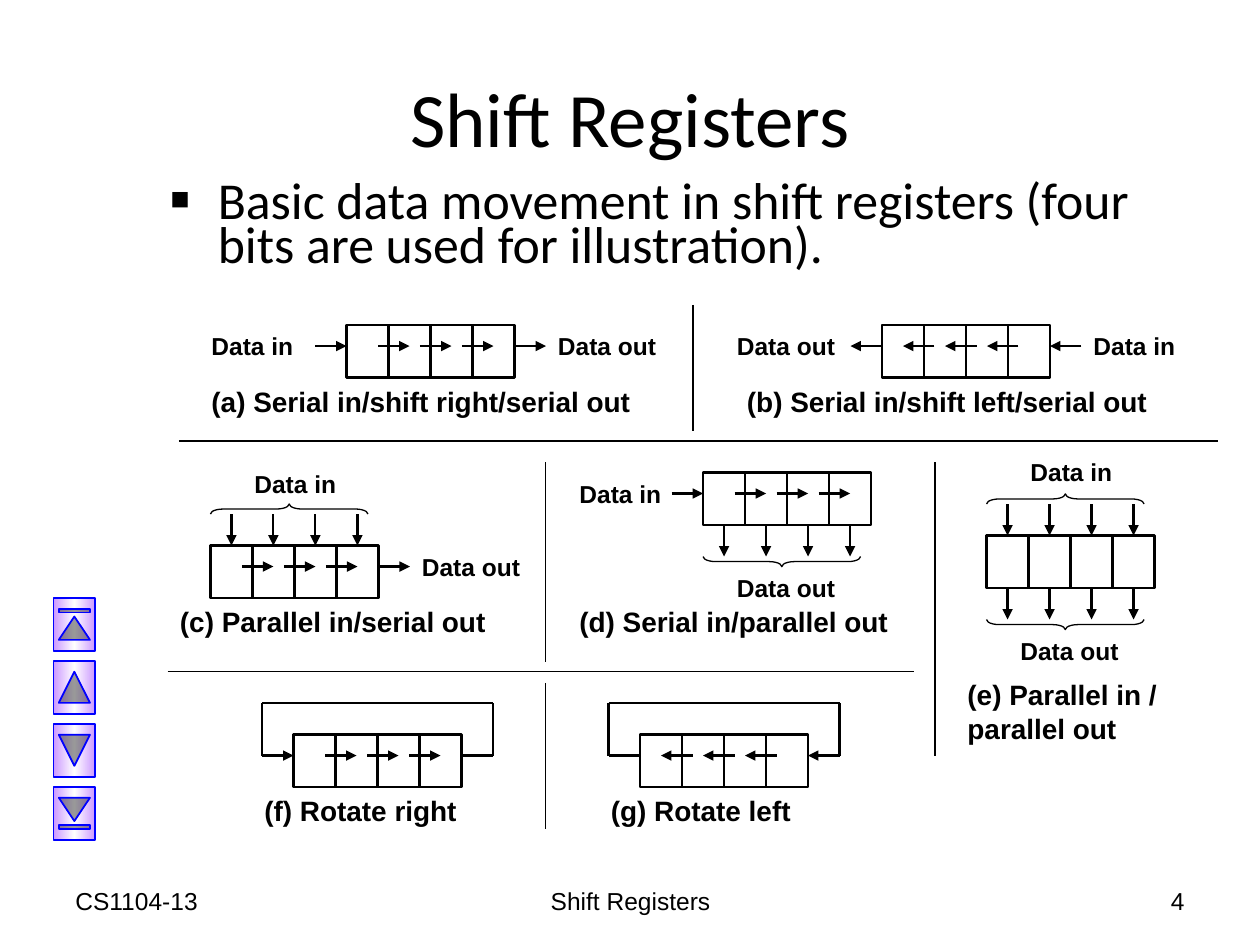
from copy import deepcopy
from dataclasses import dataclass
from typing import Any

from lxml.etree import SubElement
from pptx import Presentation
from pptx.dml.color import RGBColor
from pptx.enum.shapes import MSO_CONNECTOR as Connector, MSO_SHAPE as Shape
from pptx.enum.text import MSO_ANCHOR as Anchor, PP_ALIGN as Align
from pptx.oxml.ns import qn
from pptx.util import Inches, Pt

COLORS = {"ink": "000000", "button_edge": "0000FF", "lilac": "CC99FF", "white": "FFFFFF"}
CELLS = 4
CELL = 1 / 3
WIDTH = CELLS * CELL
HEIGHT = 5 / 12
ARROW = 0.25
FLOW = 1 / 6
BRACE_WIDTH, BRACE_LENGTH = 0.08, 1.25
CELL_LINE, ARROW_LINE, THIN_LINE = 1.5, 1.25, 0.75


@dataclass
class Label:
    text: str
    left: float
    top: float
    width: float
    height: float = 0.33
    size: float = 14
    bold: bool = True
    font: str = "Arial"
    align: Align = Align.LEFT
    anchor: Anchor = Anchor.TOP


@dataclass
class Register:
    left: float
    top: float
    labels: list[Label]
    direction: int = 0
    serial_in: bool = False
    serial_out: bool = False
    parallel_in: bool = False
    parallel_out: bool = False
    rotates: bool = False


@dataclass
class Button:
    preset: Shape
    top: float


def caption(text: str, left: float, top: float, width: float, height: float = 0.37) -> Label:
    return Label(text, left, top, width, height, size=16)


def color(name: str) -> RGBColor:
    return RGBColor.from_string(COLORS[name])


def set_values(target: Any, values: dict[str, Any]) -> None:
    for name, value in values.items():
        setattr(target, name, value)


def set_line(shape: Any, width: float, name: str = "ink") -> None:
    shape.line.color.rgb = color(name)
    shape.line.width = Pt(width)


def add_label(shapes: Any, label: Label) -> Any:
    box = shapes.add_textbox(*map(Inches, (label.left, label.top, label.width, label.height)))
    set_values(box.text_frame, {"word_wrap": True, "vertical_anchor": label.anchor})
    paragraph = box.text_frame.paragraphs[0]
    paragraph.alignment = label.align
    run = paragraph.add_run()
    run.text = label.text
    set_values(run.font, {"name": label.font, "size": Pt(label.size), "bold": label.bold})
    run.font.color.rgb = color("ink")
    return paragraph


def add_line(shapes: Any, start: tuple[float, float], end: tuple[float, float],
             width: float, arrow: bool = False) -> None:
    line = shapes.add_connector(Connector.STRAIGHT, *map(Inches, (*start, *end)))
    set_line(line, width)
    if arrow:
        SubElement(line.line._get_or_add_ln(), qn("a:tailEnd"), type="triangle")
    SubElement(line._element.spPr, qn("a:effectLst"))


def add_brace(shapes: Any, center_x: float, center_y: float, rotation: int) -> None:
    brace = shapes.add_shape(Shape.LEFT_BRACE, *map(Inches, (
        center_x - BRACE_WIDTH / 2, center_y - BRACE_LENGTH / 2, BRACE_WIDTH, BRACE_LENGTH)))
    brace.rotation = rotation
    brace.adjustments[0] = 1.25
    brace.shadow.inherit = False
    brace.fill.background()
    set_line(brace, THIN_LINE)


def add_cells(shapes: Any, register: Register) -> None:
    left, top = register.left, register.top
    frame = shapes.add_shape(Shape.RECTANGLE, *map(Inches, (left, top, WIDTH, HEIGHT)))
    frame.shadow.inherit = False
    frame.fill.background()
    set_line(frame, CELL_LINE)
    for index in range(1, CELLS):
        x = left + index * CELL
        add_line(shapes, (x, top), (x, top + HEIGHT), CELL_LINE)


def add_serial_flow(shapes: Any, register: Register) -> None:
    left, direction = register.left, register.direction
    right, y = left + WIDTH, register.top + FLOW
    for index in range(1, CELLS):
        start = left + index * CELL + direction * (-1 / 12)
        if direction < 0:
            start = left + index * CELL + 1 / 12
        add_line(shapes, (start, y), (start + direction * ARROW, y), ARROW_LINE, True)
    entry, leave = (left, right) if direction > 0 else (right, left)
    if register.serial_in:
        add_line(shapes, (entry - direction * ARROW, y), (entry, y), ARROW_LINE, True)
    if register.serial_out:
        add_line(shapes, (leave, y), (leave + direction * ARROW, y), ARROW_LINE,
                 not register.rotates)
    if register.rotates:
        near, far, roof = left - ARROW, right + ARROW, register.top - ARROW
        add_line(shapes, (near, roof), (far, roof), ARROW_LINE)
        for x in (near, far):
            add_line(shapes, (x, roof), (x, y), ARROW_LINE)


def add_parallel_flow(shapes: Any, register: Register, start: float,
                      brace_y: float, rotation: int) -> None:
    for index in range(CELLS):
        x = register.left + (index + 0.5) * CELL
        add_line(shapes, (x, start), (x, start + ARROW), ARROW_LINE, True)
    add_brace(shapes, register.left + BRACE_LENGTH / 2, brace_y, rotation)


def add_register(slide: Any, register: Register) -> None:
    shapes = slide.shapes.add_group_shape().shapes
    add_cells(shapes, register)
    if register.direction:
        add_serial_flow(shapes, register)
    if register.parallel_in:
        add_parallel_flow(shapes, register, register.top - ARROW, register.top - 0.29, 90)
    if register.parallel_out:
        bottom = register.top + HEIGHT
        add_parallel_flow(shapes, register, bottom, bottom + 0.29, 270)
    for label in register.labels:
        add_label(shapes, label)


def add_button(slide: Any, button: Button) -> None:
    shape = slide.shapes.add_shape(
        button.preset, *map(Inches, (0.38, button.top, 0.42, 0.33)))
    shape.rotation = 90
    shape.shadow.inherit = False
    shape.fill.gradient()
    shape.fill.gradient_angle = 90
    first_stop = shape.fill.gradient_stops[0]._gs
    first_stop.addnext(deepcopy(first_stop))
    for stop, position, name in zip(shape.fill.gradient_stops, (0, 0.5, 1),
                                    ("lilac", "white", "lilac")):
        stop.position = position
        stop.color.rgb = color(name)
    set_line(shape, 1, "button_edge")


def add_bullet(paragraph: Any) -> None:
    properties = paragraph._p.get_or_add_pPr()
    set_values(paragraph, {"line_spacing": 0.7})
    properties.set("marL", str(Inches(0.38)))
    properties.set("indent", str(-Inches(0.38)))
    SubElement(properties, qn("a:buSzPct"), val="120000")
    SubElement(properties, qn("a:buFont"), typeface="Arial")
    SubElement(properties, qn("a:buChar"), char="▪")


TITLE = Label("Shift Registers", 0.5, 0.3, 9, 1.25, 44, False, "Calibri", Align.CENTER, Anchor.MIDDLE)
BODY = Label("Basic data movement in shift registers (four bits are used for illustration).",
             1.25, 1.42, 8.42, 0.83, 29.6, False, "Calibri")
FOOTERS = [Label(text, left, 6.95, width, 0.4, bold=False, align=align, anchor=Anchor.MIDDLE)
           for text, left, width, align in (("CS1104-13", 0.5, 2.33, Align.LEFT),
                                            ("Shift Registers", 3.42, 3.17, Align.CENTER),
                                            ("4", 7.17, 2.33, Align.RIGHT))]
REGISTERS = [
    Register(2.75, 2.58, [Label("Data in", 1.58, 2.58, 0.92), Label("Data out", 4.33, 2.58, 1),
                          caption("(a) Serial in/shift right/serial out", 1.58, 3, 3.58)],
             1, serial_in=True, serial_out=True),
    Register(7, 2.58, [Label("Data in", 8.58, 2.58, 0.92), Label("Data out", 5.75, 2.58, 1),
                       caption("(b) Serial in/shift left/serial out", 5.83, 3, 3.58)],
             -1, serial_in=True, serial_out=True),
    Register(1.67, 4.33, [Label("Data in", 1.92, 3.67, 0.92), Label("Data out", 3.25, 4.33, 1),
                          caption("(c) Parallel in/serial out", 1.33, 4.75, 2.75)],
             1, serial_out=True, parallel_in=True),
    Register(5.58, 3.75, [Label("Data out", 5.75, 4.5, 1), Label("Data in", 4.5, 3.75, 0.92),
                          caption("(d) Serial in/parallel out", 4.5, 4.75, 2.75)],
             1, serial_in=True, parallel_out=True),
    Register(7.83, 4.25, [Label("Data out", 8, 5, 1), Label("Data in", 8.08, 3.58, 0.92),
                          caption("(e) Parallel in / parallel out", 7.58, 5.33, 1.75, 0.64)],
             parallel_in=True, parallel_out=True),
    Register(2.33, 5.83, [caption("(f) Rotate right", 2, 6.25, 1.92)], 1, True, True, rotates=True),
    Register(5.08, 5.83, [caption("(g) Rotate left", 4.75, 6.25, 1.92)], -1, True, True, rotates=True),
]
SEPARATORS = [((1.42, 3.5), (9.67, 3.5)), ((1.33, 5.33), (7.25, 5.33)), ((5.5, 2.42), (5.5, 3.42)),
              ((4.33, 3.67), (4.33, 5.25)), ((7.42, 3.67), (7.42, 6)), ((4.33, 5.42), (4.33, 6.58))]
BUTTONS = [Button(preset, 4.79 + index * 0.5) for index, preset in enumerate((
    Shape.ACTION_BUTTON_BEGINNING, Shape.ACTION_BUTTON_BACK_OR_PREVIOUS,
    Shape.ACTION_BUTTON_FORWARD_OR_NEXT, Shape.ACTION_BUTTON_END))]


def main() -> None:
    presentation = Presentation()
    set_values(presentation, {"slide_width": Inches(10), "slide_height": Inches(7.5)})
    slide = presentation.slides.add_slide(presentation.slide_layouts[6])
    for label in (*FOOTERS, TITLE):
        add_label(slide.shapes, label)
    add_bullet(add_label(slide.shapes, BODY))
    for register in REGISTERS:
        add_register(slide, register)
    for start, end in SEPARATORS:
        add_line(slide.shapes, start, end, THIN_LINE)
    for button in BUTTONS:
        add_button(slide, button)
    presentation.save("out.pptx")


if __name__ == "__main__":
    main()
